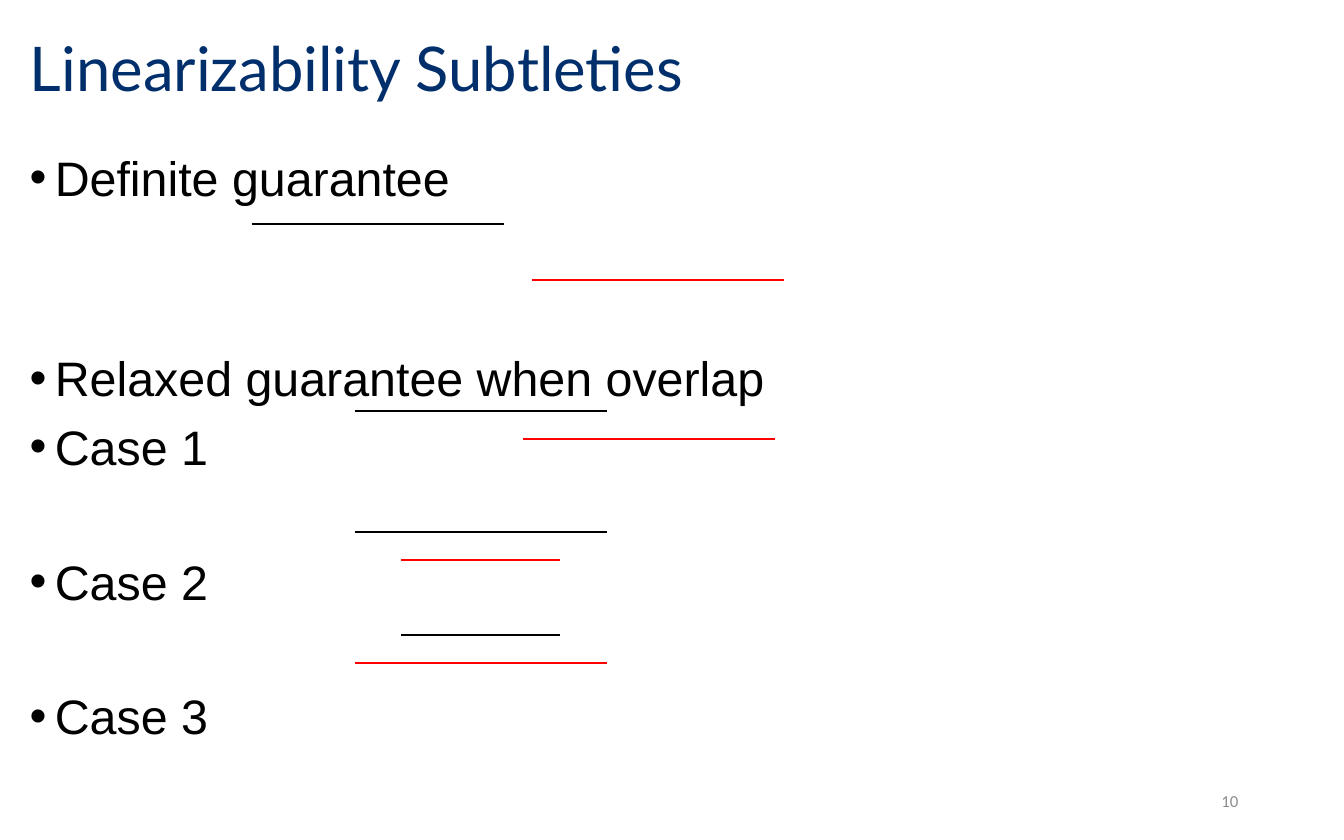
from dataclasses import dataclass

from lxml.etree import SubElement
from pptx import Presentation
from pptx.dml.color import RGBColor
from pptx.enum.shapes import MSO_CONNECTOR as Connector
from pptx.enum.text import MSO_ANCHOR as Anchor, PP_ALIGN as Align
from pptx.oxml.ns import qn
from pptx.slide import Slide
from pptx.text.text import _Paragraph as Paragraph
from pptx.util import Pt

COLORS = {"title": "002F6C", "text": "000000", "number": "8C8C8C",
          "first": "000000", "second": "FF0000"}
BULLET_SIZE = 25.9
BULLET_INDENT = 13.5
ROW_PITCH = 35.4
ROW_GAP = 5.65


@dataclass
class Bullet:
    text: str
    free_rows: int = 0  # rows left open above for the intervals


@dataclass
class Interval:
    start: float
    end: float


@dataclass
class Case:
    top: float
    first: Interval
    second: Interval
    gap: float = 15


BULLETS = [
    Bullet("Definite guarantee"),
    Bullet("Relaxed guarantee when overlap", 2),
    Bullet("Case 1"),
    Bullet("Case 2", 1),
    Bullet("Case 3", 1),
]

LONG, SHORT = Interval(190, 325), Interval(215, 300)
CASES = [
    Case(120, Interval(135, 270), Interval(285, 420), gap=30),
    Case(220, LONG, Interval(280, 415)),
    Case(285, LONG, SHORT),
    Case(340, SHORT, LONG),
]


def add_run(paragraph: Paragraph, text: str, font: str, size: float, color: str) -> None:
    run = paragraph.add_run()
    run.text = text
    run.font.name = font
    run.font.size = Pt(size)
    run.font.color.rgb = RGBColor.from_string(COLORS[color])


def add_bullet(paragraph: Paragraph, bullet: Bullet, is_first: bool) -> None:
    properties = paragraph._p.get_or_add_pPr()
    properties.set("marL", str(Pt(BULLET_INDENT)))
    properties.set("indent", str(-Pt(BULLET_INDENT)))
    SubElement(properties, qn("a:buFont"), typeface="Arial")
    SubElement(properties, qn("a:buChar"), char="•")
    if not is_first:
        paragraph.space_before = Pt(ROW_GAP + bullet.free_rows * ROW_PITCH)
    add_run(paragraph, bullet.text, "Arial", BULLET_SIZE, "text")


def add_interval(slide: Slide, interval: Interval, top: float, color: str) -> None:
    line = slide.shapes.add_connector(
        Connector.STRAIGHT, Pt(interval.start), Pt(top), Pt(interval.end), Pt(top))
    line.line.color.rgb = RGBColor.from_string(COLORS[color])
    line.line.width = Pt(1)
    SubElement(line._element.spPr, qn("a:effectLst"))


def main() -> None:
    deck = Presentation()
    deck.slide_width, deck.slide_height = Pt(720), Pt(450)
    slide = deck.slides.add_slide(deck.slide_layouts[5])

    # Title
    title = slide.shapes.title
    title.left, title.top, title.width, title.height = Pt(8.8), Pt(7.2), Pt(613.5), Pt(62)
    title.text_frame.vertical_anchor = Anchor.MIDDLE
    heading = title.text_frame.paragraphs[0]
    heading.alignment = Align.LEFT
    heading.line_spacing = 0.9
    add_run(heading, "Linearizability Subtleties", "Lato", 33, "title")

    # Guarantees and cases
    guarantees = slide.shapes.add_textbox(Pt(8.8), Pt(75.6), Pt(703.5), Pt(330)).text_frame
    guarantees.word_wrap = True
    for index, bullet in enumerate(BULLETS):
        paragraph = guarantees.add_paragraph() if index else guarantees.paragraphs[0]
        add_bullet(paragraph, bullet, index == 0)

    # Operation intervals
    for case in CASES:
        add_interval(slide, case.first, case.top, "first")
        add_interval(slide, case.second, case.top + case.gap, "second")

    # Slide number
    number = slide.shapes.add_textbox(Pt(508.5), Pt(417), Pt(162), Pt(24)).text_frame
    number.word_wrap = True
    number.vertical_anchor = Anchor.MIDDLE
    number.paragraphs[0].alignment = Align.RIGHT
    add_run(number.paragraphs[0], "10", "Calibri", 9, "number")

    deck.save("out.pptx")


if __name__ == "__main__":
    main()
